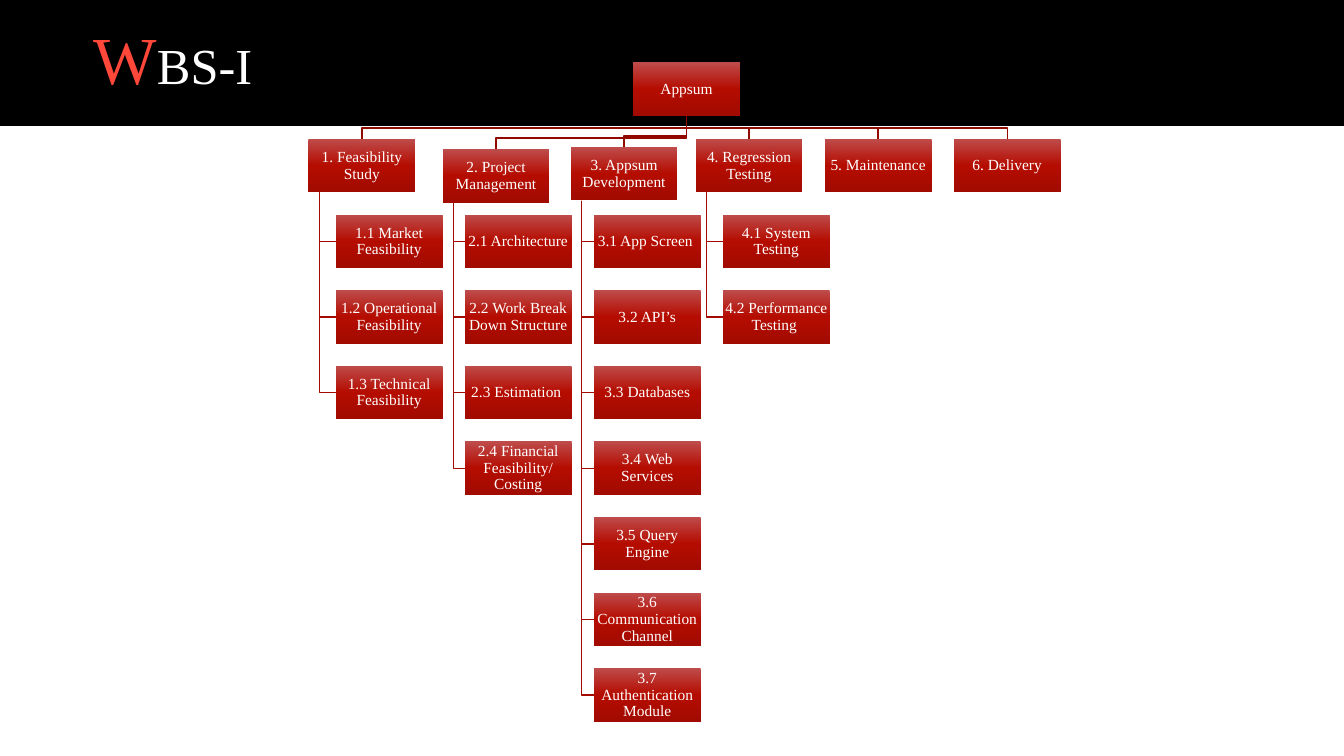
import copy

import pptx
import pptx.dml.color
import pptx.enum.shapes
import pptx.enum.text
import pptx.oxml.ns
import pptx.util

Inches = pptx.util.Inches
Pt = pptx.util.Pt

FONT = "Times New Roman"
BOX_W, BOX_H = 1.06, 0.53
ROOT_X, ROOT_Y = 6.28, 0.62
TASK_X, TASK_Y = 3.33, 2.13
COLUMN_STEP, ROW_STEP = 1.28, 0.75
ELBOW = 0.11
GRADIENT = [(0, "BE4C4B"), (0.5, "B50C00"), (1, "A10B00")]

# Each phase: left, top, title, tasks
PHASES = [
    (3.06, 1.38, "1. Feasibility Study",
     ["1.1 Market Feasibility", "1.2 Operational Feasibility",
      "1.3 Technical Feasibility"]),
    (4.39, 1.48, "2. Project Management",
     ["2.1 Architecture", "2.2 Work Break Down Structure",
      "2.3 Estimation ", "2.4 Financial Feasibility/ Costing"]),
    (5.66, 1.46, "3. Appsum Development",
     ["3.1 App Screen ", "3.2 API’s", "3.3 Databases", "3.4 Web Services",
      "3.5 Query Engine", "3.6 Communication Channel",
      "3.7 Authentication Module"]),
    (6.9, 1.38, "4. Regression Testing",
     ["4.1 System Testing", "4.2 Performance Testing "]),
    (8.18, 1.38, "5. Maintenance", []),
    (9.46, 1.38, "6. Delivery", []),
]


def rgb(value):
    return pptx.dml.color.RGBColor.from_string(value)


def add_run(p, text, size, color):
    r = p.add_run()
    r.text = text
    r.font.name = FONT
    r.font.size = Pt(size)
    r.font.color.rgb = rgb(color)


def add_rect(s, x, y, w, h):
    sp = s.shapes.add_shape(pptx.enum.shapes.MSO_SHAPE.RECTANGLE,
                            Inches(x), Inches(y), Inches(w), Inches(h))
    sp.shadow.inherit = False
    sp.line.fill.background()
    return sp


def fill_gradient(sp):
    """Fill the shape from top to bottom with the GRADIENT stops."""
    sp.fill.gradient()
    sp.fill.gradient_angle = 270
    stops = sp._element.spPr.find(".//" + pptx.oxml.ns.qn("a:gsLst"))
    stops.append(copy.deepcopy(stops[0]))
    for stop, (position, color) in zip(sp.fill.gradient_stops, GRADIENT):
        stop.position = position
        stop.color.rgb = rgb(color)


def add_box(s, x, y, text):
    sp = add_rect(s, x, y, BOX_W, BOX_H)
    fill_gradient(sp)
    tf = sp.text_frame
    tf.word_wrap = True
    tf.vertical_anchor = pptx.enum.text.MSO_ANCHOR.MIDDLE
    tf.margin_left = tf.margin_right = Inches(0.01)
    tf.margin_top = tf.margin_bottom = Inches(0.01)
    p = tf.paragraphs[0]
    p.alignment = pptx.enum.text.PP_ALIGN.CENTER
    p.line_spacing = 0.9
    add_run(p, text, 11, "FFFFFF")


def add_branch(s, points, color):
    """Draw an open line with square corners through the points."""
    points = [(Inches(x), Inches(y)) for x, y in points]
    builder = s.shapes.build_freeform(*points[0])
    builder.add_line_segments(points[1:], close=False)
    sp = builder.convert_to_shape()
    sp.shadow.inherit = False
    sp.fill.background()
    sp.line.color.rgb = rgb(color)
    sp.line.width = Pt(1)


def add_header(s):
    band = add_rect(s, 0, 0, 13.33, 1.25)
    band.fill.solid()
    band.fill.fore_color.rgb = rgb("000000")
    title = s.shapes.add_textbox(Inches(0.83), Inches(0),
                                 Inches(10.96), Inches(1.25))
    tf = title.text_frame
    tf.word_wrap = True
    tf.vertical_anchor = pptx.enum.text.MSO_ANCHOR.MIDDLE
    p = tf.paragraphs[0]
    p.line_spacing = 0.9
    add_run(p, "W", 48, "FF473A")
    add_run(p, "BS-I", 36, "FFFFFF")


def task_position(column, row):
    return TASK_X + column * COLUMN_STEP, TASK_Y + row * ROW_STEP


def add_branches(s):
    root_mid, root_bottom = ROOT_X + BOX_W / 2, ROOT_Y + BOX_H
    for column, (x, y, _, tasks) in enumerate(PHASES):
        mid, bend = x + BOX_W / 2, y - ELBOW
        add_branch(s, [(root_mid, root_bottom), (root_mid, bend),
                       (mid, bend), (mid, y)], "910A00")
        stem = x + ELBOW
        for row in range(len(tasks)):
            task_x, task_y = task_position(column, row)
            task_mid = task_y + BOX_H / 2
            add_branch(s, [(stem, y + BOX_H), (stem, task_mid),
                           (task_x, task_mid)], "A40B00")


def add_boxes(s):
    add_box(s, ROOT_X, ROOT_Y, "Appsum")
    for column, (x, y, phase, tasks) in enumerate(PHASES):
        add_box(s, x, y, phase)
        for row, task in enumerate(tasks):
            add_box(s, *task_position(column, row), task)


def main():
    prs = pptx.Presentation()
    prs.slide_width, prs.slide_height = Inches(13.33), Inches(7.5)
    s = prs.slides.add_slide(prs.slide_layouts[6])
    add_header(s)
    add_branches(s)
    add_boxes(s)
    prs.save("out.pptx")


if __name__ == "__main__":
    main()
